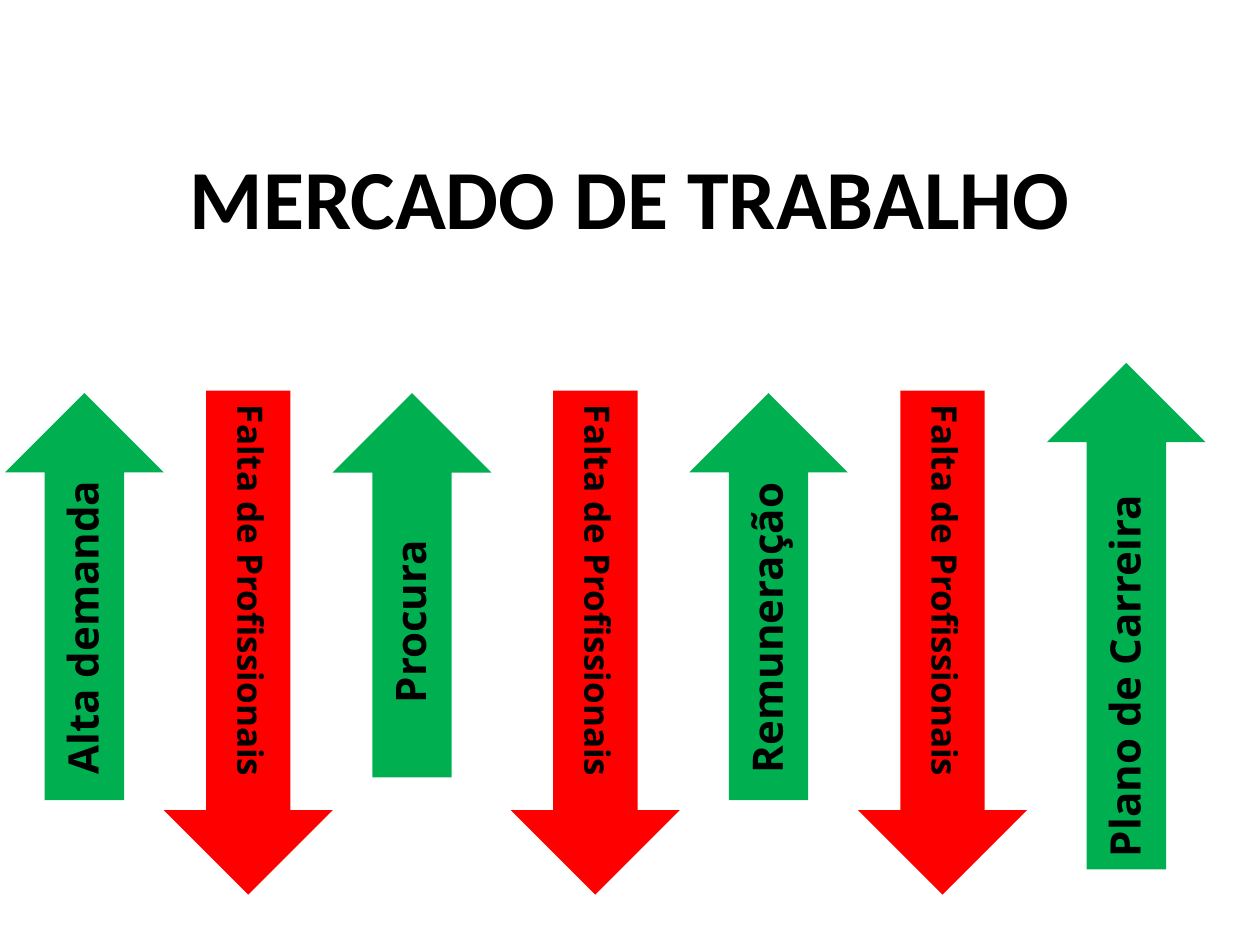
"""Build the job market slide with rising and falling arrows."""
from pptx import Presentation
from pptx.dml.color import RGBColor
from pptx.enum.shapes import MSO_SHAPE
from pptx.enum.text import MSO_ANCHOR, MSO_AUTO_SIZE, PP_ALIGN
from pptx.util import Inches, Pt

BLACK = RGBColor(0x00, 0x00, 0x00)
GREEN = RGBColor(0x00, 0xB0, 0x50)
RED = RGBColor(0xFF, 0x00, 0x00)

TITLE_FONT = {"name": "Calibri", "size": Pt(48), "bold": True}
RISING = {
    "color": GREEN, "width": 1.26, "arrow_turn": 0, "label_turn": 270,
    "label_height": 0.5, "label_shift": -0.02,
    "font": {"name": "Open Sans", "size": Pt(24), "bold": True},
}
FALLING = {
    "color": RED, "width": 1.34, "arrow_turn": 180, "label_turn": 90,
    "label_height": 0.44, "label_shift": 0.02,
    "font": {"name": "Open Sans", "size": Pt(20), "bold": True},
}
RISING_ARROWS = [
    ("Alta demanda", 0.04, 3.12, 3.23, 2.81, 4.84),
    ("Procura", 2.64, 3.12, 3.05, 1.68, 4.84),
    ("Remuneração", 5.47, 3.12, 3.23, 2.79, 4.84),
    ("Plano de Carreira", 8.31, 2.88, 4.02, 3.48, 5.16),
]
FALLING_ARROWS = [
    ("Falta de Profissionais", 1.3 + 2.755 * column, 3.1, 4, 3.59, 4.91)
    for column in range(3)
]


def set_values(target, values):
    """Set each named attribute on the target."""
    for name, value in values.items():
        setattr(target, name, value)


def add_text(page, text, bounds, font, frame_values, align=PP_ALIGN.LEFT):
    """Add a text box holding one formatted line."""
    box = page.shapes.add_textbox(*map(Inches, bounds))
    set_values(box.text_frame, frame_values)
    para = box.text_frame.paragraphs[0]
    para.alignment = align
    span = para.add_run()
    span.text = text
    set_values(span.font, font)
    span.font.color.rgb = BLACK
    return box


def add_arrow(page, left, top, height, style):
    """Add a plain arrow in the given style."""
    bounds = map(Inches, (left, top, style["width"], height))
    arrow = page.shapes.add_shape(MSO_SHAPE.UP_ARROW, *bounds)
    arrow.rotation = style["arrow_turn"]
    arrow.shadow.inherit = False
    arrow.fill.solid()
    arrow.fill.fore_color.rgb = style["color"]
    arrow.line.fill.background()


def add_label(page, text, center_x, center_y, length, style):
    """Add a turned label centred on a point."""
    height = style["label_height"]
    bounds = (center_x - length / 2, center_y - height / 2, length, height)
    frame_values = {"word_wrap": False, "auto_size": MSO_AUTO_SIZE.SHAPE_TO_FIT_TEXT}
    box = add_text(page, text, bounds, style["font"], frame_values)
    box.rotation = style["label_turn"]


def add_labelled_arrows(page, arrows, style):
    """Add a family of arrows with their labels."""
    for text, left, top, height, length, center_y in arrows:
        add_arrow(page, left, top, height, style)
        center_x = left + style["width"] / 2 + style["label_shift"]
        add_label(page, text, center_x, center_y, length, style)


def main():
    """Create the deck and save it."""
    deck = Presentation()
    deck.slide_width, deck.slide_height = Inches(10), Inches(7.5)
    page = deck.slides.add_slide(deck.slide_layouts[6])
    title_frame = {"word_wrap": True, "vertical_anchor": MSO_ANCHOR.MIDDLE}
    add_text(page, "MERCADO DE TRABALHO", (0.5, 0.93, 9, 1.25),
             TITLE_FONT, title_frame, PP_ALIGN.CENTER)
    add_labelled_arrows(page, RISING_ARROWS, RISING)
    add_labelled_arrows(page, FALLING_ARROWS, FALLING)
    deck.save("out.pptx")


main()
